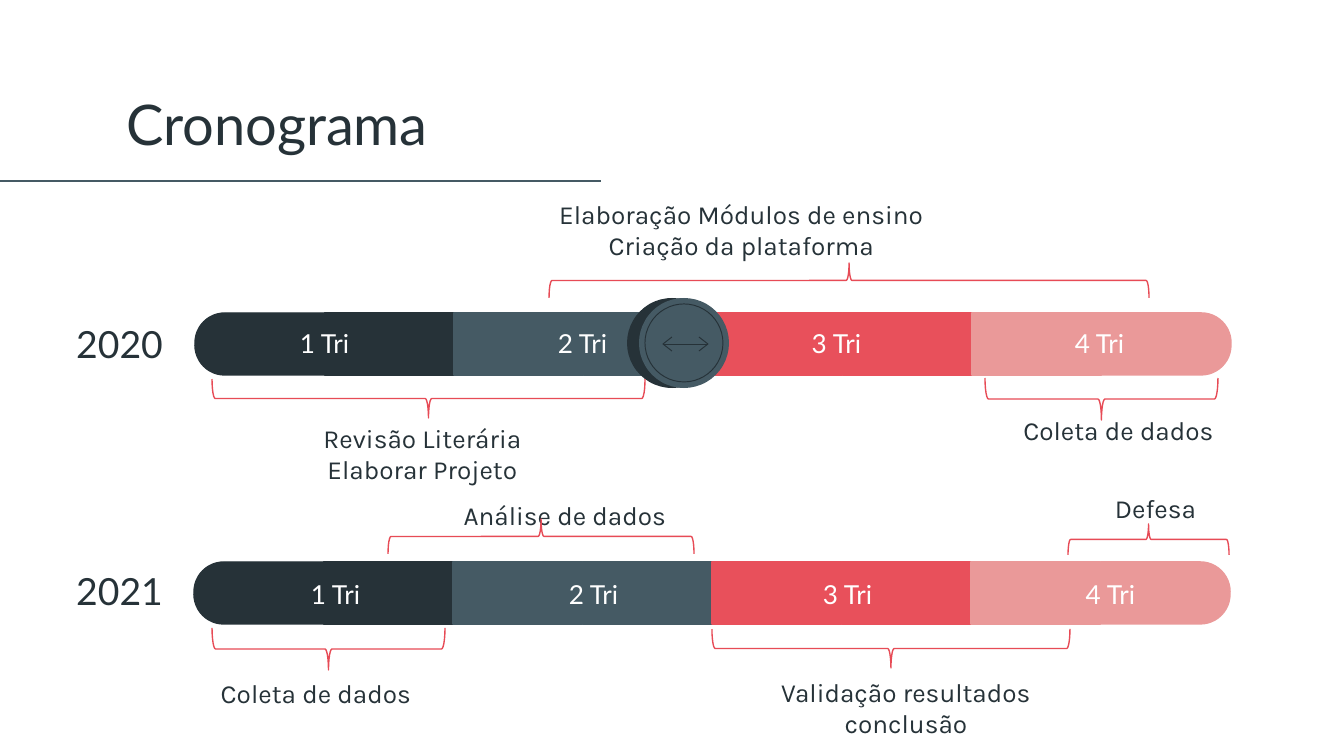
from pptx import Presentation
from pptx.dml.color import RGBColor
from pptx.enum.shapes import MSO_CONNECTOR, MSO_SHAPE
from pptx.enum.text import MSO_ANCHOR, PP_ALIGN
from pptx.oxml.ns import qn
from pptx.util import Inches, Pt
from lxml import etree

INK = RGBColor(0x26, 0x32, 0x38)
SLATE = RGBColor(0x45, 0x5A, 0x64)
RED = RGBColor(0xE8, 0x50, 0x5B)
PINK = RGBColor(0xEA, 0x99, 0x99)
BRACE = RGBColor(0xE7, 0x4B, 0x56)
WHITE = RGBColor(0xFF, 0xFF, 0xFF)


def px(n):
    return round(n * Inches(1) / 134.4)


class Timeline:
    heading = "Lato"
    body = "Karla"
    inset = 13
    weight = Pt(0.75)

    def __init__(self, s):
        self.s = s

    def style(self, sp, fill=None, line=None, weight=None):
        sp.shadow.inherit = False
        if fill is None:
            sp.fill.background()
        else:
            sp.fill.solid()
            sp.fill.fore_color.rgb = fill
        if line is None:
            sp.line.fill.background()
        else:
            sp.line.color.rgb = line
            sp.line.width = weight or self.weight

    def text(self, text, x, y, w, h, size=14, font=None, color=INK,
             align=PP_ALIGN.CENTER, anchor=MSO_ANCHOR.TOP):
        tf = self.s.shapes.add_textbox(px(x), px(y), px(w), px(h)).text_frame
        tf.word_wrap = True
        tf.vertical_anchor = anchor
        tf.margin_left = tf.margin_right = px(self.inset)
        tf.margin_top = tf.margin_bottom = px(self.inset)
        tf.text = text
        for p in tf.paragraphs:
            p.alignment = align
            for r in p.runs:
                r.font.name = font or self.body
                r.font.size = Pt(size)
                r.font.color.rgb = color

    def shape(self, kind, x, y, w, h, turn=0, **style):
        if turn % 180:
            x, y, w, h = x + (w - h) / 2, y + (h - w) / 2, h, w
        sp = self.s.shapes.add_shape(kind, px(x), px(y), px(w), px(h))
        sp.rotation = turn
        self.style(sp, **style)
        return sp

    def line(self, x1, y1, x2, y2, color, weight=None):
        c = self.s.shapes.add_connector(
            MSO_CONNECTOR.STRAIGHT, px(x1), px(y1), px(x2), px(y2))
        c.line.color.rgb = color
        c.line.width = weight or self.weight
        etree.SubElement(c._element.spPr, qn("a:effectLst"))

    def polyline(self, points, **style):
        (x, y), *rest = [(px(a), px(b)) for a, b in points]
        builder = self.s.shapes.build_freeform(x, y)
        builder.add_line_segments(rest, close=False)
        self.style(builder.convert_to_shape(), **style)

    def bar(self, x, y):
        step, height = 129.5, 62
        for i in range(8):
            color = (INK, SLATE, RED, PINK)[i // 2]
            turn = {0: 270, 7: 90}.get(i, 0)
            kind = MSO_SHAPE.ROUND_2_SAME_RECTANGLE if turn else MSO_SHAPE.RECTANGLE
            sp = self.shape(kind, x + i * step, y, step, height, turn,
                            fill=color, line=color)
            if turn:
                sp.adjustments[0] = 0.48

    def quarters(self, shift, y):
        for i, x in enumerate((198, 456, 710, 973), 1):
            self.text(f"{i} Tri", x + shift, y, 253, 66, font=self.heading,
                      color=WHITE, anchor=MSO_ANCHOR.MIDDLE)

    def year(self, text, y):
        self.text(text, -37, y, 213, 70, 20, self.heading,
                  align=PP_ALIGN.RIGHT, anchor=MSO_ANCHOR.BOTTOM)

    def brace(self, x, y, w, h, turn):
        self.shape(MSO_SHAPE.LEFT_BRACE, x, y, w, h, turn, line=BRACE)

    def knob(self, x, y):
        thin = Pt(0.5)
        self.shape(MSO_SHAPE.OVAL, x - 12, y, 90, 90, fill=INK)
        self.shape(MSO_SHAPE.OVAL, x, y, 90, 90, fill=SLATE)
        self.shape(MSO_SHAPE.OVAL, x + 6, y + 6, 78, 78, line=INK, weight=thin)
        mid = y + 46
        self.line(x + 24, mid, x + 69, mid, INK, thin)
        for tip, back in ((24, 33), (69, 60)):
            self.polyline([(x + back, mid - 7), (x + tip, mid), (x + back, mid + 7)],
                          line=INK, weight=thin)


prs = Presentation()
prs.slide_width, prs.slide_height = px(1344), px(756)
t = Timeline(prs.slides.add_slide(prs.slide_layouts[6]))

t.line(-17, 181, 601, 181, SLATE)
t.text("Cronograma", 113, 58, 644, 112, 30, t.heading,
       align=PP_ALIGN.LEFT, anchor=MSO_ANCHOR.BOTTOM)

t.bar(195, 313)
t.knob(639, 298)
t.quarters(0, 310)
t.year("2020", 309)

t.bar(194, 562)
t.quarters(11, 561)
t.year("2021", 556)

for label, *box in (
    ("Revisão Literária\vElaborar Projeto", 255, 409, 335, 75),
    ("Elaboração Módulos de ensino\vCriação da plataforma", 521, 185, 441, 90),
    ("Coleta de dados", 970, 401, 297, 62),
    ("Coleta de dados", 187, 664, 258, 62),
    ("Análise de dados", 436, 486, 258, 62),
    ("Validação resultados conclusão", 726, 663, 360, 62),
    ("Defesa", 1007, 479, 297, 62),
):
    t.text(label, *box)

UP, DOWN = 90, 270
for brace in (
    (549, 263, 600, 35, UP),
    (212, 379, 433, 39, DOWN),
    (985, 378, 233, 42, DOWN),
    (212, 628, 233, 42, DOWN),
    (388, 519, 306, 35, UP),
    (712, 629, 358, 39, DOWN),
    (1068, 524, 161, 31, UP),
):
    t.brace(*brace)

prs.save("out.pptx")
